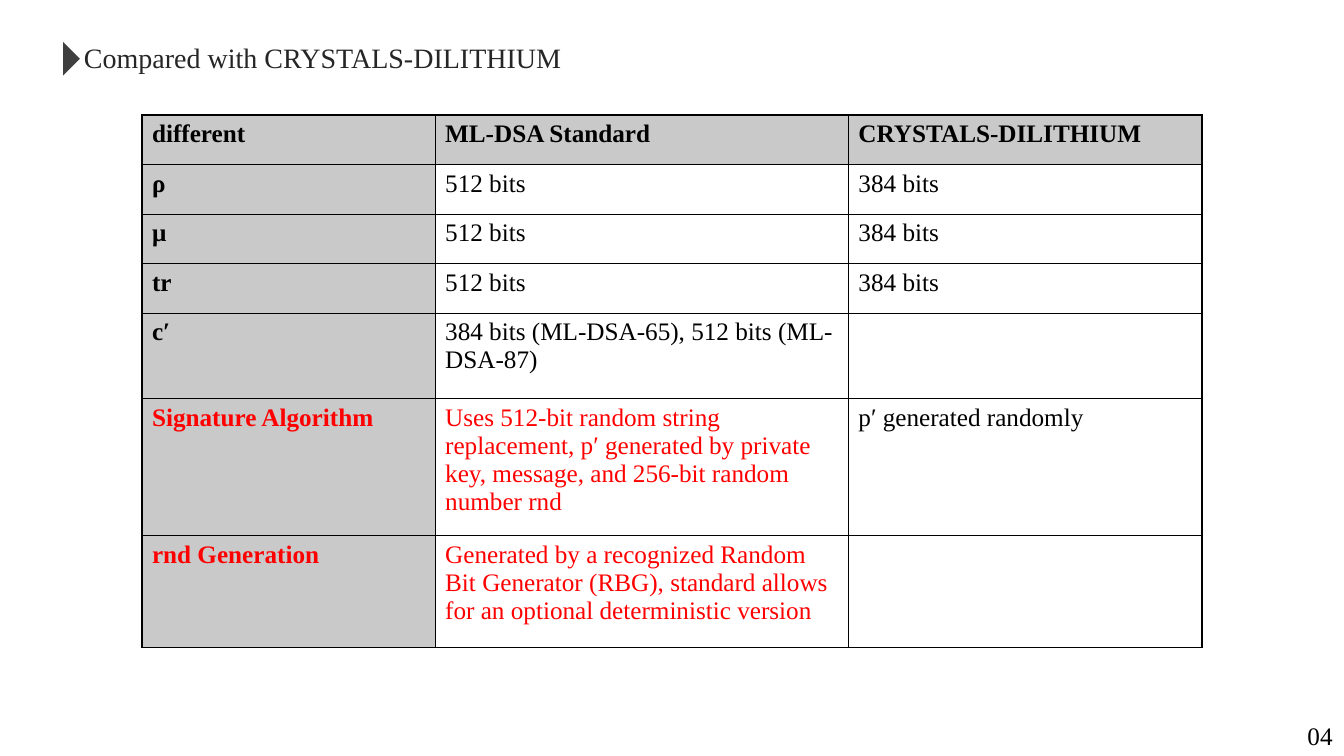
import dataclasses
import typing

import pptx
import pptx.dml.color
import pptx.enum.shapes
import pptx.enum.text
import pptx.oxml
import pptx.oxml.ns
import pptx.util

EMU_PER_PX = 7620
FONT = "Times New Roman"
COLOURS = {
    "paper": "FFFFFF",
    "ink": "000000",
    "title": "262626",
    "marker": "3F3F3F",
    "header": "C9C9C9",
    "highlight": "FF0000",
}
BORDER_SIDES = ("lnL", "lnR", "lnT", "lnB")
BORDER_PT = 1
COLUMN_WIDTHS = (349, 492, 421)


@dataclasses.dataclass(frozen=True)
class Box:
    left: int
    top: int
    width: int
    height: int

    def emu(self) -> tuple[pptx.util.Emu, ...]:
        return tuple(px(value) for value in dataclasses.astuple(self))


@dataclasses.dataclass(frozen=True)
class Label:
    text: str
    box: Box
    size: int
    colour: str
    align: pptx.enum.text.PP_ALIGN
    wrap: bool


@dataclasses.dataclass(frozen=True)
class Panel:
    preset: pptx.enum.shapes.MSO_SHAPE
    box: Box
    colour: str
    rotation: int = 0


@dataclasses.dataclass(frozen=True)
class Comparison:
    topic: str
    standard: str
    predecessor: str
    height: int = 59
    highlighted: bool = False


PANELS = (
    Panel(pptx.enum.shapes.MSO_SHAPE.RECTANGLE, Box(0, 0, 1600, 900), "paper"),
    Panel(pptx.enum.shapes.MSO_SHAPE.ISOSCELES_TRIANGLE, Box(65, 60, 40, 20), "marker", 90),
)
LABELS = (
    Label("Compared with CRYSTALS-DILITHIUM", Box(88, 42, 606, 53), 20, "title",
          pptx.enum.text.PP_ALIGN.LEFT, False),
    Label("04", Box(1543, 852, 57, 48), 18, "ink", pptx.enum.text.PP_ALIGN.CENTER, True),
)
COMPARISONS = (
    Comparison("different", "ML-DSA Standard", "CRYSTALS-DILITHIUM"),
    Comparison("ρ", "512 bits", "384 bits"),
    Comparison("μ", "512 bits", "384 bits"),
    Comparison("tr", "512 bits", "384 bits"),
    Comparison("c′", "384 bits (ML-DSA-65), 512 bits (ML-DSA-87)", "", 102),
    Comparison(
        "Signature Algorithm",
        "Uses 512-bit random string replacement, p′ generated by private key, "
        "message, and 256-bit random number rnd",
        "p′ generated randomly", 163, True),
    Comparison(
        "rnd Generation",
        "Generated by a recognized Random Bit Generator (RBG), standard allows "
        "for an optional deterministic version",
        "", 133, True),
)


def px(value: int) -> pptx.util.Emu:
    return pptx.util.Emu(value * EMU_PER_PX)


def rgb(colour: str) -> pptx.dml.color.RGBColor:
    return pptx.dml.color.RGBColor.from_string(COLOURS[colour])


def write(paragraph: typing.Any, text: str, size: int, colour: str, bold: bool = False) -> None:
    run = paragraph.add_run()
    run.text = text
    style = {"name": FONT, "size": pptx.util.Pt(size), "bold": bold}
    for attribute, value in style.items():
        setattr(run.font, attribute, value)
    run.font.color.rgb = rgb(colour)


def draw_panel(slide: typing.Any, panel: Panel) -> None:
    shape = slide.shapes.add_shape(panel.preset, *panel.box.emu())
    shape.shadow.inherit = False
    shape.rotation = panel.rotation
    shape.fill.solid()
    shape.fill.fore_color.rgb = rgb(panel.colour)
    shape.line.fill.background()


def draw_label(slide: typing.Any, label: Label) -> None:
    frame = slide.shapes.add_textbox(*label.box.emu()).text_frame
    layout = {
        "word_wrap": label.wrap,
        "auto_size": pptx.enum.text.MSO_AUTO_SIZE.SHAPE_TO_FIT_TEXT,
    }
    for attribute, value in layout.items():
        setattr(frame, attribute, value)
    paragraph = frame.paragraphs[0]
    paragraph.alignment = label.align
    write(paragraph, label.text, label.size, label.colour)


def add_borders(cell: typing.Any) -> None:
    properties = cell._tc.get_or_add_tcPr()
    for index, side in enumerate(BORDER_SIDES):
        border = pptx.oxml.parse_xml(
            f'<a:{side} {pptx.oxml.ns.nsdecls("a")} w="{pptx.util.Pt(BORDER_PT)}">'
            f'<a:solidFill><a:srgbClr val="{COLOURS["ink"]}"/></a:solidFill></a:{side}>')
        properties.insert(index, border)


def draw_comparisons(slide: typing.Any, left: int, top: int) -> None:
    box = Box(left, top, sum(COLUMN_WIDTHS), sum(entry.height for entry in COMPARISONS))
    table = slide.shapes.add_table(len(COMPARISONS), len(COLUMN_WIDTHS), *box.emu()).table
    for flag in ("first_row", "horz_banding"):
        setattr(table, flag, False)
    for column, width in zip(table.columns, COLUMN_WIDTHS):
        column.width = px(width)
    for row_index, entry in enumerate(COMPARISONS):
        table.rows[row_index].height = px(entry.height)
        texts = (entry.topic, entry.standard, entry.predecessor)
        for column_index, text in enumerate(texts):
            cell = table.cell(row_index, column_index)
            heading = row_index == 0 or column_index == 0
            cell.fill.solid()
            cell.fill.fore_color.rgb = rgb("header" if heading else "paper")
            add_borders(cell)
            if text:
                colour = "highlight" if entry.highlighted and column_index < 2 else "ink"
                write(cell.text_frame.paragraphs[0], text, 18, colour, heading)


def main() -> None:
    presentation = pptx.Presentation()
    presentation.slide_width = px(1600)
    presentation.slide_height = px(900)
    slide = presentation.slides.add_slide(presentation.slide_layouts[6])
    for panel in PANELS:
        draw_panel(slide, panel)
    for label in LABELS:
        draw_label(slide, label)
    draw_comparisons(slide, 169, 137)
    presentation.save("out.pptx")


if __name__ == "__main__":
    main()
